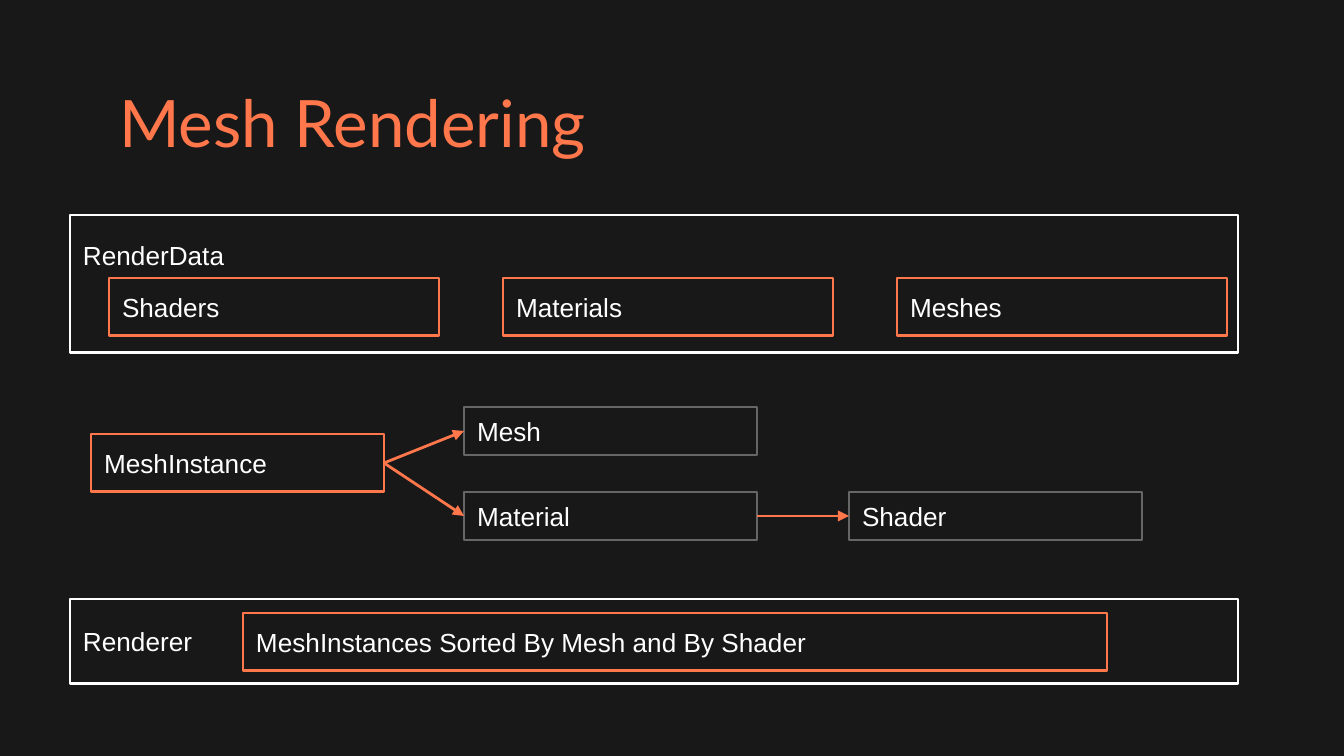
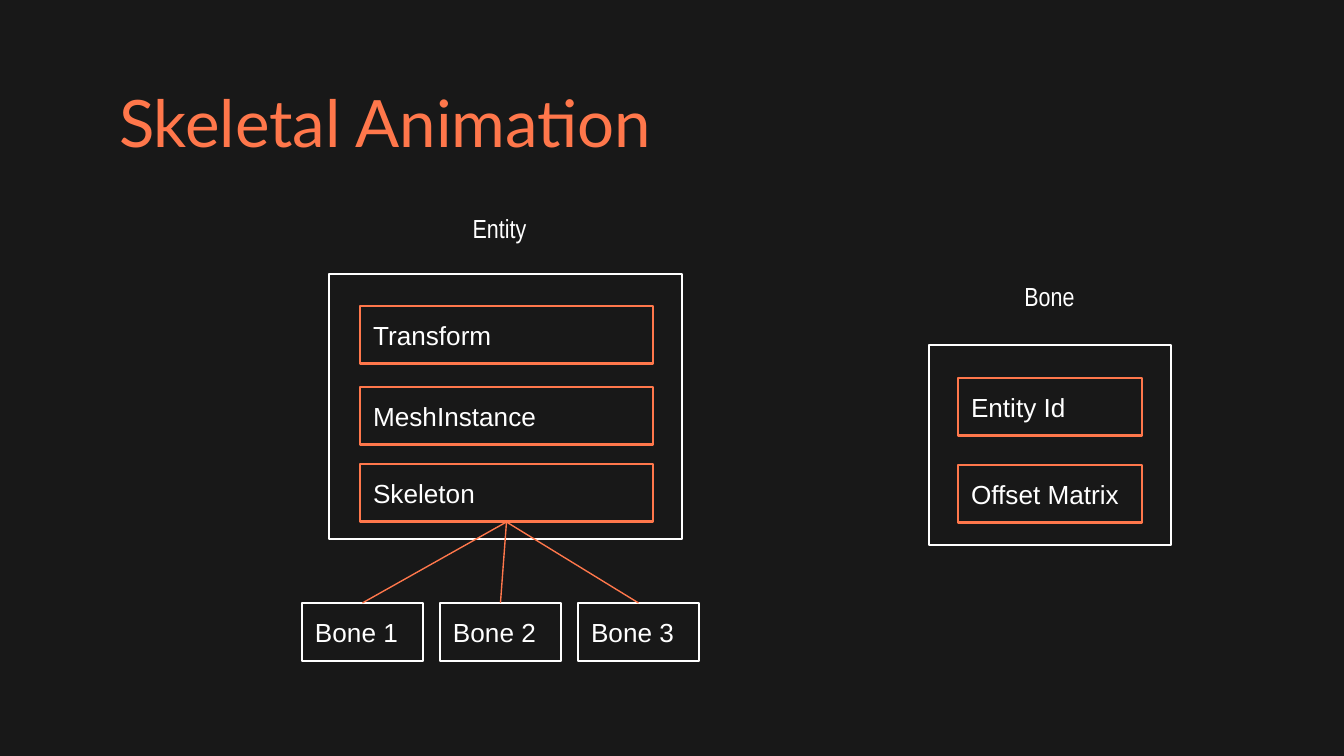
"""Build two slides on mesh rendering and skeletal animation."""
import dataclasses

import lxml.etree
import pptx
import pptx.dml.color
import pptx.enum.shapes
import pptx.enum.text
import pptx.oxml.ns
import pptx.util


@dataclasses.dataclass(frozen=True)
class Theme:
    """Colours, fonts and sizes shared by both slides."""
    back: str = "181818"
    accent: str = "FF774B"
    white: str = "FFFFFF"
    grey: str = "666666"
    title_font: str = "Lato"
    body_font: str = "Arial"
    label_font: str = "Arial Narrow"
    title_size: int = 35
    body_size: int = 14
    thick: float = 1.5
    thin: float = 0.75
    inset: int = 13


THEME = Theme()
TITLE_PLACE = (106, 79, 1133, 85)
BOX_HEIGHT = 58

STYLES = {
    "frame": (THEME.white, THEME.thick, False),
    "thin frame": (THEME.white, THEME.thin, False),
    "data": (THEME.accent, THEME.thick, True),
    "reference": (THEME.grey, THEME.thick, True),
    "bone": (THEME.white, THEME.thin, True),
}


def across(names, style, left, top, width, pitch):
    """List boxes side by side at an equal pitch."""
    return [(name, style, (left + pitch * index, top, width, BOX_HEIGHT))
            for index, name in enumerate(names)]


def stacked(names, tops, left, width):
    """List data boxes one above another."""
    return [(name, "data", (left, top, width, BOX_HEIGHT))
            for name, top in zip(names, tops)]


BONES = ["Bone 1", "Bone 2", "Bone 3"]

SLIDES = [
    {
        "title": "Mesh Rendering",
        "labels": [],
        "boxes": [
            ("RenderData", "frame", (70, 215, 1168, 138)),
            *across(["Shaders", "Materials", "Meshes"], "data", 109, 278, 330, 394),
            ("MeshInstance", "data", (91, 434, 293, BOX_HEIGHT)),
            ("Mesh", "reference", (464, 407, 293, 48)),
            ("Material", "reference", (464, 492, 293, 48)),
            ("Shader", "reference", (849, 492, 293, 48)),
            ("Renderer", "frame", (70, 599, 1168, 85)),
            ("MeshInstances Sorted By Mesh and By Shader", "data",
             (243, 613, 864, BOX_HEIGHT)),
        ],
        "top_insets": {"RenderData": 24},
        "links": [
            ("MeshInstance", "Mesh", THEME.thick),
            ("MeshInstance", "Material", THEME.thick),
            ("Material", "Shader", THEME.thin),
        ],
        "sides": (3, 1),
        "arrows": True,
    },
    {
        "title": "Skeletal Animation",
        "labels": [("Entity", (400, 199, 199, 59)), ("Bone", (950, 267, 199, 59))],
        "boxes": [
            ("", "thin frame", (329, 274, 353, 265)),
            ("", "thin frame", (929, 345, 242, 200)),
            *stacked(["Transform", "MeshInstance", "Skeleton"], [306, 387, 464], 360, 293),
            *stacked(["Entity Id", "Offset Matrix"], [378, 465], 958, 184),
            *across(BONES, "bone", 302, 603, 121, 138),
        ],
        "top_insets": {},
        "links": [("Skeleton", bone, THEME.thin) for bone in BONES],
        "sides": (2, 0),
        "arrows": False,
    },
]


def px(length):
    """Turn pixels into EMU."""
    return pptx.util.Emu(round(length * 914400 / 134.4))


def rgb(value):
    """Turn a hex string into a colour."""
    return pptx.dml.color.RGBColor.from_string(value)


def write(frame, text, font, size, color, align, anchor):
    """Put one formatted run in a text frame."""
    frame.word_wrap = True
    frame.vertical_anchor = anchor
    frame.margin_left = frame.margin_right = px(THEME.inset)
    frame.margin_top = frame.margin_bottom = px(THEME.inset)
    para = frame.paragraphs[0]
    para.alignment = align
    span = para.add_run()
    span.text = text
    span.font.name = font
    span.font.size = pptx.util.Pt(size)
    span.font.color.rgb = rgb(color)


def add_title(page, text):
    """Place and format the title."""
    title = page.shapes.title
    title.left, title.top, title.width, title.height = map(px, TITLE_PLACE)
    title.text_frame.auto_size = pptx.enum.text.MSO_AUTO_SIZE.NONE
    write(title.text_frame, text, THEME.title_font, THEME.title_size, THEME.accent,
          pptx.enum.text.PP_ALIGN.LEFT, pptx.enum.text.MSO_ANCHOR.MIDDLE)


def add_box(page, text, style, place, top_inset):
    """Draw an outlined box, with text if it has any."""
    color, weight, filled = STYLES[style]
    box = page.shapes.add_shape(
        pptx.enum.shapes.MSO_SHAPE.RECTANGLE, *map(px, place))
    box.shadow.inherit = False
    if filled:
        box.fill.solid()
        box.fill.fore_color.rgb = rgb(THEME.back)
    else:
        box.fill.background()
    box.line.color.rgb = rgb(color)
    box.line.width = pptx.util.Pt(weight)
    if text:
        anchors = pptx.enum.text.MSO_ANCHOR
        write(box.text_frame, text, THEME.body_font, THEME.body_size, THEME.white,
              pptx.enum.text.PP_ALIGN.LEFT,
              anchors.TOP if top_inset else anchors.MIDDLE)
        if top_inset:
            box.text_frame.margin_top = px(top_inset)
    return box


def add_label(page, text, place):
    """Write a centred label above a frame."""
    label = page.shapes.add_textbox(*map(px, place))
    write(label.text_frame, text, THEME.label_font, THEME.body_size, THEME.white,
          pptx.enum.text.PP_ALIGN.CENTER, pptx.enum.text.MSO_ANCHOR.TOP)
    label.text_frame.auto_size = pptx.enum.text.MSO_AUTO_SIZE.SHAPE_TO_FIT_TEXT


def add_link(page, source, target, sides, weight, arrow):
    """Join two boxes with a straight line."""
    link = page.shapes.add_connector(
        pptx.enum.shapes.MSO_CONNECTOR.STRAIGHT, 0, 0, 0, 0)
    link.begin_connect(source, sides[0])
    link.end_connect(target, sides[1])
    link.line.color.rgb = rgb(THEME.accent)
    link.line.width = pptx.util.Pt(weight)
    qualify = pptx.oxml.ns.qn
    if arrow:
        lxml.etree.SubElement(
            link.line._get_or_add_ln(), qualify("a:tailEnd"), type="triangle")
    lxml.etree.SubElement(link._element.spPr, qualify("a:effectLst"))


def add_page(deck, content):
    """Build one slide from its content."""
    page = deck.slides.add_slide(deck.slide_layouts.get_by_name("Title Only"))
    add_title(page, content["title"])
    boxes = {}
    for text, style, place in content["boxes"]:
        boxes[text] = add_box(page, text, style, place,
                              content["top_insets"].get(text))
    for text, place in content["labels"]:
        add_label(page, text, place)
    for source, target, weight in content["links"]:
        add_link(page, boxes[source], boxes[target], content["sides"],
                 weight, content["arrows"])


def main():
    """Build and save the deck."""
    deck = pptx.Presentation()
    deck.slide_width, deck.slide_height = px(1344), px(756)
    background = deck.slide_master.background.fill
    background.solid()
    background.fore_color.rgb = rgb(THEME.back)
    for content in SLIDES:
        add_page(deck, content)
    deck.save("out.pptx")


if __name__ == "__main__":
    main()
